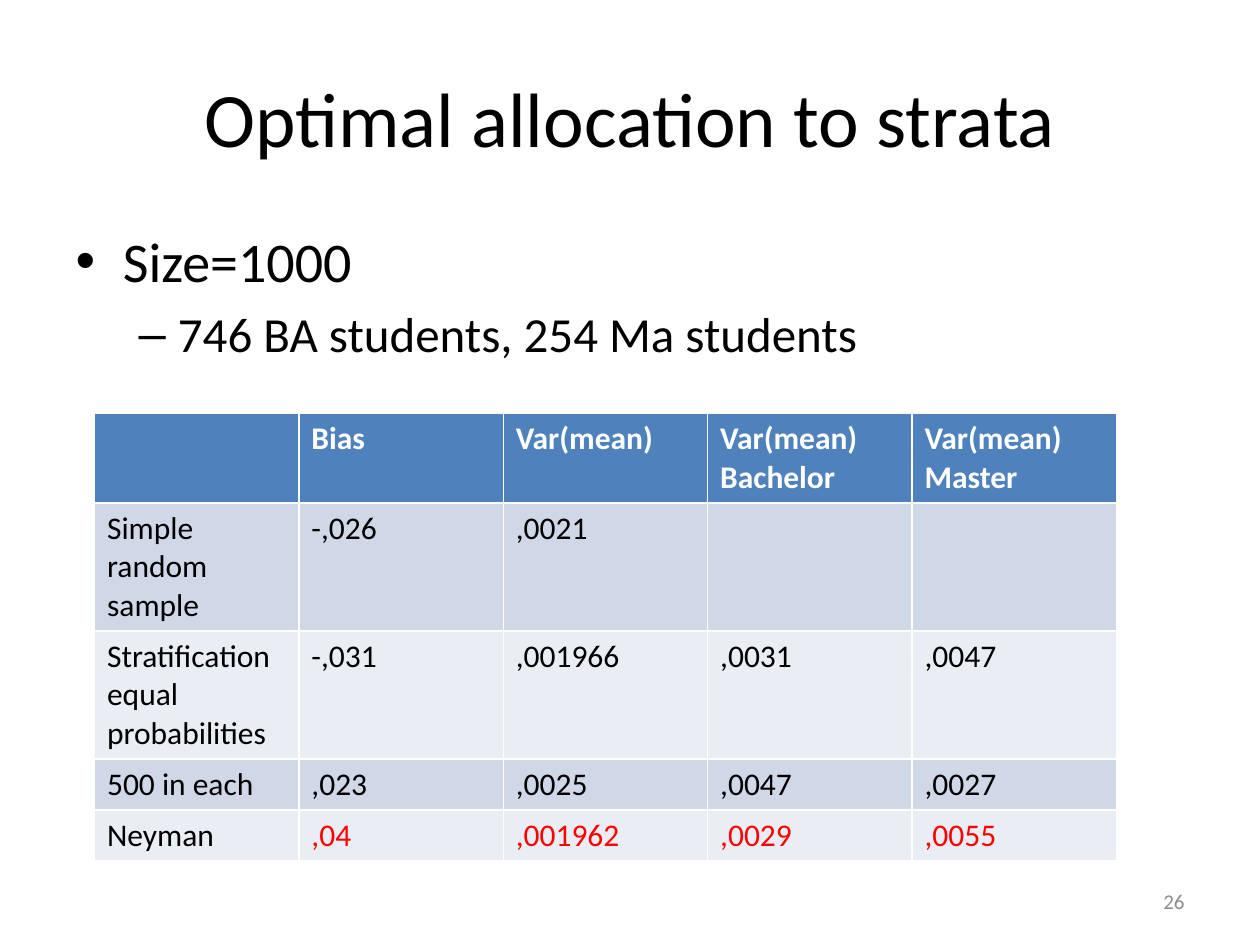
from pptx import Presentation
from pptx.dml.color import RGBColor
from pptx.enum.text import MSO_ANCHOR, PP_ALIGN
from pptx.util import Pt

CENTER, RIGHT = PP_ALIGN.CENTER, PP_ALIGN.RIGHT
MIDDLE = MSO_ANCHOR.MIDDLE
BLACK = RGBColor(0x00, 0x00, 0x00)
WHITE = RGBColor(0xFF, 0xFF, 0xFF)
RED = RGBColor(0xFF, 0x00, 0x00)
GRAY = RGBColor(0x8C, 0x8C, 0x8C)
HEADER_BLUE = RGBColor(0x4F, 0x81, 0xBD)
BAND_DARK = RGBColor(0xD0, 0xD8, 0xE8)
BAND_LIGHT = RGBColor(0xE9, 0xED, 0xF4)
FONT = "Calibri"


def add_run(paragraph, text, size, color, bold=False):
    run = paragraph.add_run()
    run.text = text
    run.font.name = FONT
    run.font.size = Pt(size)
    run.font.bold = bold
    run.font.color.rgb = color


def place(shape, left, top, width, height):
    shape.left, shape.top = Pt(left), Pt(top)
    shape.width, shape.height = Pt(width), Pt(height)


presentation = Presentation()
presentation.slide_width = Pt(720)
presentation.slide_height = Pt(540)
slide = presentation.slides.add_slide(presentation.slide_layouts[1])

title = slide.shapes.title
place(title, 36, 21.6, 648, 90)
title.text_frame.vertical_anchor = MIDDLE
paragraph = title.text_frame.paragraphs[0]
paragraph.alignment = CENTER
add_run(paragraph, "Optimal allocation to strata", 44, BLACK)

body = slide.placeholders[1]
place(body, 36, 126, 648, 388)
paragraph = body.text_frame.paragraphs[0]
add_run(paragraph, "Size=1000", 32, BLACK)
paragraph = body.text_frame.add_paragraph()
paragraph.level = 1
add_run(paragraph, "746 BA students, 254 Ma students", 28, BLACK)

rows = [
    ["", "Bias", "Var(mean)", "Var(mean) Bachelor", "Var(mean) Master"],
    ["Simple random sample", "-,026", ",0021", "", ""],
    ["Stratification equal probabilities", "-,031", ",001966", ",0031", ",0047"],
    ["500 in each", ",023", ",0025", ",0047", ",0027"],
    ["Neyman", ",04", ",001962", ",0029", ",0055"],
]
table = slide.shapes.add_table(
    len(rows), len(rows[0]), Pt(54), Pt(236.3), Pt(584), Pt(146)
).table
for row_index, values in enumerate(rows):
    is_header = row_index == 0
    is_last = row_index == len(rows) - 1
    band = BAND_DARK if row_index % 2 else BAND_LIGHT
    for column_index, value in enumerate(values):
        cell = table.cell(row_index, column_index)
        cell.fill.solid()
        cell.fill.fore_color.rgb = HEADER_BLUE if is_header else band
        color = WHITE if is_header else BLACK
        if is_last and column_index > 0:
            color = RED
        if value:
            add_run(cell.text_frame.paragraphs[0], value, 18, color, is_header)

slide_number = slide.shapes.add_textbox(Pt(516), Pt(500.5), Pt(168), Pt(28.75))
slide_number.text_frame.word_wrap = True
slide_number.text_frame.vertical_anchor = MIDDLE
paragraph = slide_number.text_frame.paragraphs[0]
paragraph.alignment = RIGHT
add_run(paragraph, "26", 12, GRAY)

presentation.save("out.pptx")
